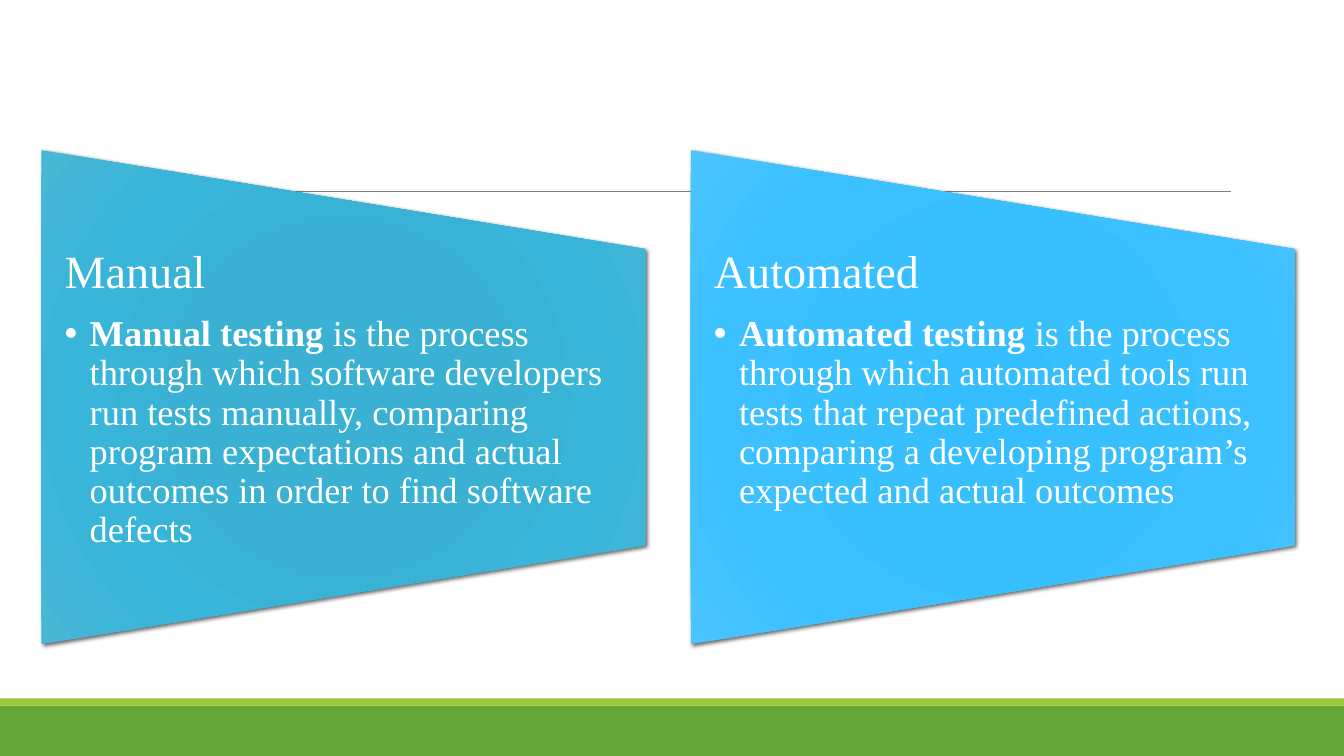
import pptx
import pptx.util
import pptx.oxml
import pptx.oxml.ns
from lxml import etree
from pptx.dml.color import RGBColor
from pptx.enum.shapes import MSO_CONNECTOR, MSO_SHAPE
from pptx.enum.text import MSO_ANCHOR, MSO_AUTO_SIZE, PP_ALIGN
from pptx.util import Inches

GREEN = RGBColor(0x63, 0xA5, 0x37)
LIME = RGBColor(0x99, 0xCB, 0x38)
GRAY = RGBColor(0x80, 0x80, 0x80)
WHITE = RGBColor(0xFF, 0xFF, 0xFF)
TEAL = [RGBColor(0x37, 0xB1, 0xD3), RGBColor(0x3A, 0xB1, 0xD2),
        RGBColor(0x38, 0xB5, 0xD8), RGBColor(0x48, 0xB7, 0xD5)]
BLUE = [RGBColor(0x34, 0xBE, 0xFF), RGBColor(0x38, 0xBF, 0xFE),
        RGBColor(0x3C, 0xC0, 0xFF), RGBColor(0x4B, 0xC5, 0xFF)]
STOPS = [0, 34, 70, 100]
FONT = "Times New Roman"
SPACE = pptx.oxml.ns.nsdecls("a")
SHADOW = (f'<a:outerShdw {SPACE} blurRad="38100" dist="25400" dir="2700000" '
          'rotWithShape="0"><a:srgbClr val="000000"><a:alpha val="60000"/>'
          '</a:srgbClr></a:outerShdw>')

PANELS = [
    (0.41, TEAL, "Manual", "Manual testing ",
     "is the process through which software developers run tests manually, "
     "comparing program expectations and actual outcomes in order to find "
     "software defects"),
    (6.85, BLUE, "Automated", "Automated testing ",
     "is the process through which automated tools run tests that repeat "
     "predefined actions, comparing a developing program’s expected and "
     "actual outcomes"),
]


def add_band(slide, top, high, color):
    """Draw a full-width footer band."""
    band = slide.shapes.add_shape(MSO_SHAPE.RECTANGLE, 0, Inches(top),
                                  Inches(13.33), Inches(high))
    band.shadow.inherit = False
    band.fill.solid()
    band.fill.fore_color.rgb = color
    band.line.fill.background()
    return band


def add_rule(slide, left, top, wide):
    """Draw the thin title rule."""
    rule = slide.shapes.add_connector(
        MSO_CONNECTOR.STRAIGHT, Inches(left), Inches(top),
        Inches(left + wide), Inches(top))
    rule.line.color.rgb = GRAY
    rule.line.width = pptx.util.Pt(0.5)
    etree.SubElement(rule.element.spPr, pptx.oxml.ns.qn("a:effectLst"))
    return rule


def shade(shape, colors):
    """Give a shape its radial gradient and soft shadow."""
    stops = "".join(
        f'<a:gs pos="{pos * 1000}"><a:srgbClr val="{color}"/></a:gs>'
        for pos, color in zip(STOPS, colors))
    fill = (f'<a:gradFill {SPACE} rotWithShape="1"><a:gsLst>{stops}</a:gsLst>'
            '<a:path path="circle"><a:fillToRect l="100000" t="100000" '
            'r="100000" b="100000"/></a:path></a:gradFill>')
    shape.fill.background()
    props = shape.element.spPr
    props.replace(props.find(pptx.oxml.ns.qn("a:noFill")),
                  pptx.oxml.parse_xml(fill))
    shape.line.fill.background()
    shape.shadow.inherit = False
    props.find(pptx.oxml.ns.qn("a:effectLst")).append(
        pptx.oxml.parse_xml(SHADOW))


def style(para, size, after):
    """Set spacing and font of a panel paragraph."""
    para.alignment = PP_ALIGN.LEFT
    para.line_spacing = 0.9
    para.space_before = pptx.util.Pt(0)
    para.space_after = pptx.util.Pt(after)
    for run in para.runs:
        run.font.name = FONT
        run.font.size = pptx.util.Pt(size)
        run.font.color.rgb = WHITE


def add_panel(slide, body, box, colors, head, lead, rest):
    """Place a turned trapezoid in the box with its text on top."""
    left, top, wide, high = box
    shift = (wide - high) / 2
    shape = slide.shapes.add_shape(
        MSO_SHAPE.FLOWCHART_MANUAL_OPERATION, Inches(left + shift),
        Inches(top - shift), Inches(high), Inches(wide))
    shape.rotation = 270
    shade(shape, colors)
    shape.element.addnext(body.element)

    body.left, body.top = Inches(left), Inches(top + high / 5)
    body.width, body.height = Inches(wide), Inches(high * 3 / 5)
    frame = body.text_frame
    frame.word_wrap = True
    frame.auto_size = MSO_AUTO_SIZE.NONE
    frame.vertical_anchor = MSO_ANCHOR.TOP
    frame.margin_left = frame.margin_right = Inches(0.23)
    frame.margin_top = frame.margin_bottom = 0

    title = frame.paragraphs[0]
    title.text = head
    props = title._p.get_or_add_pPr()
    props.set("marL", "0")
    props.set("indent", "0")
    etree.SubElement(props, pptx.oxml.ns.qn("a:buNone"))
    style(title, 33, 11.55)

    item = frame.add_paragraph()
    item.text = lead
    item.add_run().text = rest
    item.level = 1
    props = item._p.get_or_add_pPr()
    props.set("marL", str(Inches(0.25)))
    props.set("indent", str(Inches(-0.25)))
    etree.SubElement(props, pptx.oxml.ns.qn("a:buChar")).set("char", "•")
    style(item, 26, 3.9)
    item.runs[0].font.bold = True
    item.runs[1].font.bold = False


def main():
    """Build and save the slide."""
    deck = pptx.Presentation()
    deck.slide_width, deck.slide_height = Inches(13.33), Inches(7.5)
    slide = deck.slides.add_slide(deck.slide_layouts[3])
    title, *bodies = list(slide.placeholders)[:3]
    title.element.getparent().remove(title.element)
    add_band(slide, 7, 0.5, GREEN)
    add_band(slide, 6.93, 0.07, LIME)
    add_rule(slide, 1.31, 1.9, 10.9)
    for body, (left, *parts) in zip(bodies, PANELS):
        add_panel(slide, body, (left, 1.49, 5.99, 4.9), *parts)
    deck.save("out.pptx")


if __name__ == "__main__":
    main()
